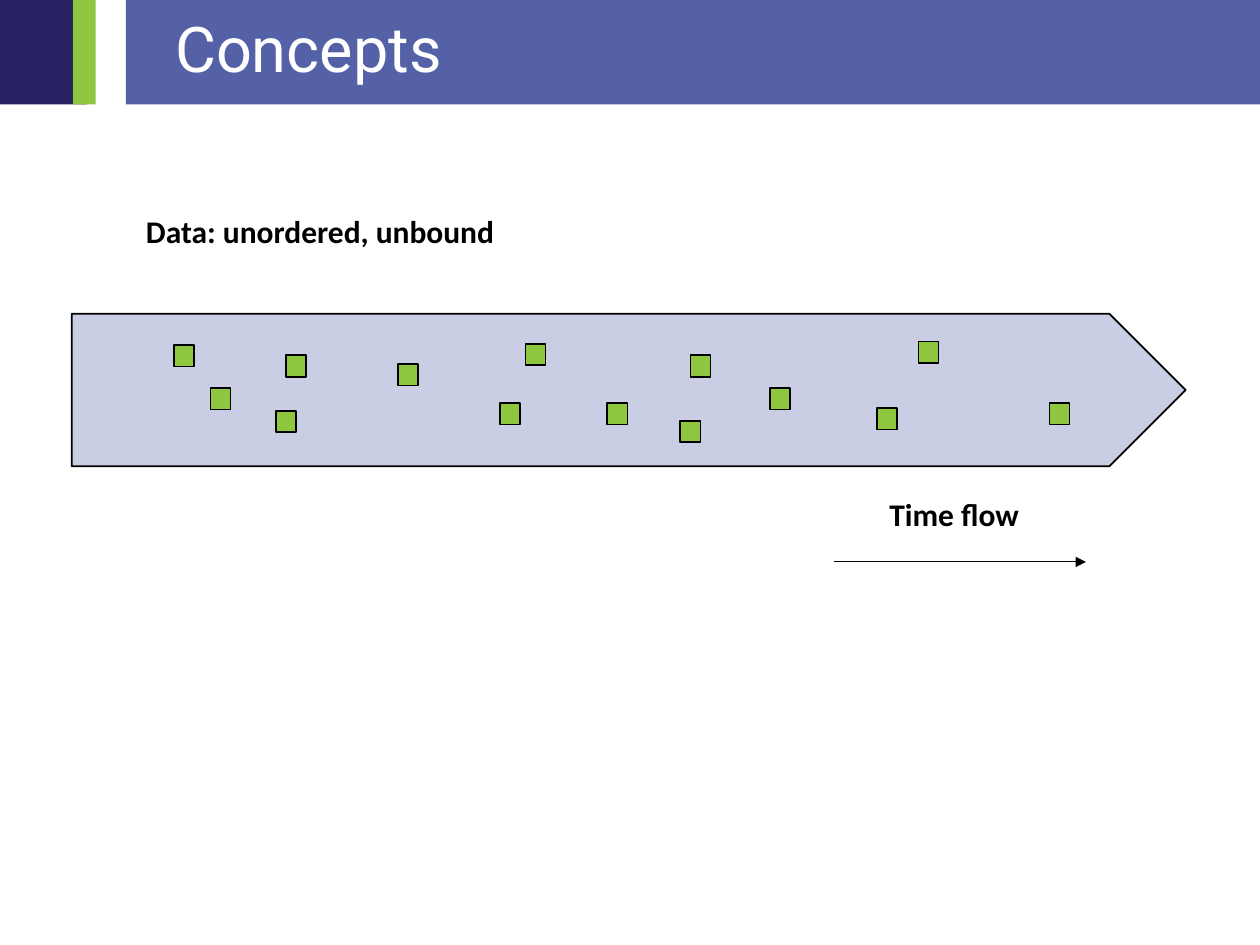
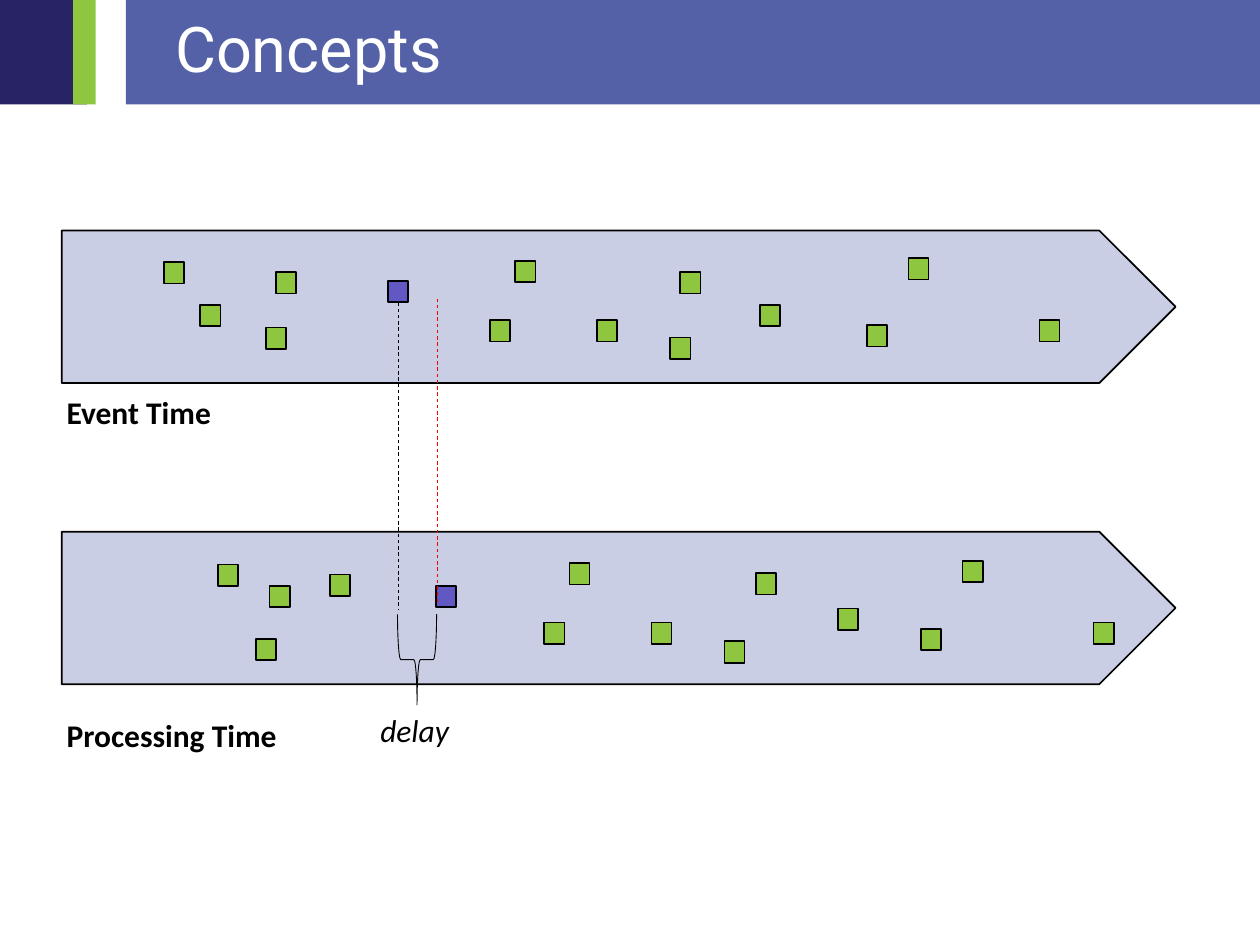
import lxml.etree
import pptx
import pptx.dml.color
import pptx.enum.dml
import pptx.enum.shapes
import pptx.enum.text
import pptx.oxml.ns
import pptx.util

KIND = pptx.enum.shapes.MSO_SHAPE
WIDE, HIGH = pptx.util.Inches(10), pptx.util.Inches(7.5)
COL, ROW = WIDE / 100, HIGH / 75
NAVY, BLUE, GREEN = "282362", "5461A6", "8EC63F"
PALE, LATE, BLACK, RED, WHITE = "CACEE4", "6158C3", "000000", "FF0000", "FFFFFF"
PAGE = (0, 0, 100, 75)
LANE = (88.4, 12.1)
MARK = (1.6, 1.7)
EVENTS = [(8.1, 2.5), (17, 3.3), (11, 5.9), (16.2, 7.7), (25.9, 4),
          (34, 7.1), (36, 2.4), (42.5, 7.1), (49.1, 3.3), (48.3, 8.5),
          (55.4, 5.9), (63.9, 7.5), (67.2, 2.2), (77.6, 7.1)]
ARRIVALS = [(12.4, 2.6), (21.3, 3.4), (16.5, 4.3), (15.4, 8.5), (29.7, 4.3),
            (38.3, 7.2), (40.3, 2.5), (46.8, 7.2), (55.1, 3.3), (52.6, 8.7),
            (61.6, 6.1), (68.2, 7.7), (71.5, 2.3), (81.9, 7.2)]
DELAYED = 4


def paint(part, hue):
    part.color.rgb = pptx.dml.color.RGBColor.from_string(hue)


def spot(box, x, y):
    return round((box[0] + x) * COL), round((box[1] + y) * ROW)


def shape(slide, kind, box, x, y, w, h, fill=None, edge=None, width=1):
    item = slide.shapes.add_shape(kind, *spot(box, x, y), round(w * COL), round(h * ROW))
    item.shadow.inherit = False
    if fill:
        item.fill.solid()
        item.fill.fore_color.rgb = pptx.dml.color.RGBColor.from_string(fill)
    else:
        item.fill.background()
    if edge:
        paint(item.line, edge)
        item.line.width = pptx.util.Pt(width)
    else:
        item.line.fill.background()
    return item


def text(slide, box, x, y, w, h, words, size=18, font="Calibri", hue=BLACK,
         bold=False, slant=False):
    item = slide.shapes.add_textbox(*spot(box, x, y), round(w * COL), round(h * ROW))
    frame = item.text_frame
    frame.text = words
    frame.word_wrap = False
    frame.auto_size = pptx.enum.text.MSO_AUTO_SIZE.SHAPE_TO_FIT_TEXT
    face = frame.paragraphs[0].runs[0].font
    face.name, face.size, face.bold, face.italic = font, pptx.util.Pt(size), bold, slant
    paint(face, hue)
    return frame


def line(slide, box, start, end, hue, dash=False, arrow=False):
    item = slide.shapes.add_connector(pptx.enum.shapes.MSO_CONNECTOR.STRAIGHT,
                                      *spot(box, *start), *spot(box, *end))
    paint(item.line, hue)
    item.line.width = pptx.util.Pt(0.5)
    if dash:
        item.line.dash_style = pptx.enum.dml.MSO_LINE.DASH
    if arrow:
        tip = lxml.etree.SubElement(item.line._get_or_add_ln(),
                                    pptx.oxml.ns.qn("a:tailEnd"))
        tip.set("type", "triangle")
    lxml.etree.SubElement(item._element.spPr, pptx.oxml.ns.qn("a:effectLst"))
    return item


def header(slide, box, words):
    for x, w, fill in ((10, 90, BLUE), (0, 6.9, NAVY), (5.8, 1.8, GREEN)):
        shape(slide, KIND.RECTANGLE, box, x, 0, w, 8.3, fill)
    frame = text(slide, box, 10, 0, 90, 8.3, words, 36, "Roboto", WHITE)
    frame.auto_size = pptx.enum.text.MSO_AUTO_SIZE.NONE
    frame.word_wrap = True
    frame.margin_left = round(3.9 * COL)
    frame.vertical_anchor = pptx.enum.text.MSO_ANCHOR.MIDDLE
    frame.paragraphs[0].line_spacing = 0.9


def stream(slide, box, marks, late=None):
    shape(slide, KIND.PENTAGON, box, 0, 0, *LANE, PALE, BLACK)
    return [shape(slide, KIND.RECTANGLE, box, x, y, *MARK,
                  LATE if i == late else GREEN, BLACK)
            for i, (x, y) in enumerate(marks)]


def delay(slide, box, mark):
    drop = line(slide, box, (2.4, 0.4), (2.4, 24.7), BLACK, dash=True)
    drop.begin_connect(mark, 2)
    brace = shape(slide, KIND.LEFT_BRACE, box, 0.3, 27.1, 7.2, 3.1, None, BLACK, 0.5)
    brace.rotation = 270
    text(slide, box, 0, 32.2, 7.7, 4, "delay", slant=True)
    line(slide, box, (5.5, 0), (5.5, 24.3), RED, dash=True)


def page(deck, title):
    slide = deck.slides.add_slide(deck.slide_layouts[6])
    header(slide, PAGE, title)
    return slide


def data_page(deck):
    slide = page(deck, "Concepts")
    box = (5.7, 24.9)
    stream(slide, box, EVENTS)
    text(slide, box, 4.9, -8.6, 29.9, 4, "Data: unordered, unbound", bold=True)
    text(slide, box, 63.9, 13.9, 12.4, 4, "Time flow", bold=True)
    line(slide, box, (60.5, 19.7), (80.5, 19.7), BLACK, arrow=True)


def time_page(deck):
    slide = page(deck, "Concepts")
    upper, lower = (4.9, 18.3), (4.9, 42.2)
    marks = stream(slide, upper, EVENTS, DELAYED)
    stream(slide, lower, ARRIVALS, DELAYED)
    text(slide, upper, -0.6, 12.4, 13.6, 4, "Event Time", bold=True)
    text(slide, lower, -0.6, 14.1, 18.8, 4, "Processing Time", bold=True)
    delay(slide, (29.2, 23.7), marks[DELAYED])


def main():
    deck = pptx.Presentation()
    deck.slide_width, deck.slide_height = WIDE, HIGH
    data_page(deck)
    time_page(deck)
    deck.save("out.pptx")


if __name__ == "__main__":
    main()
